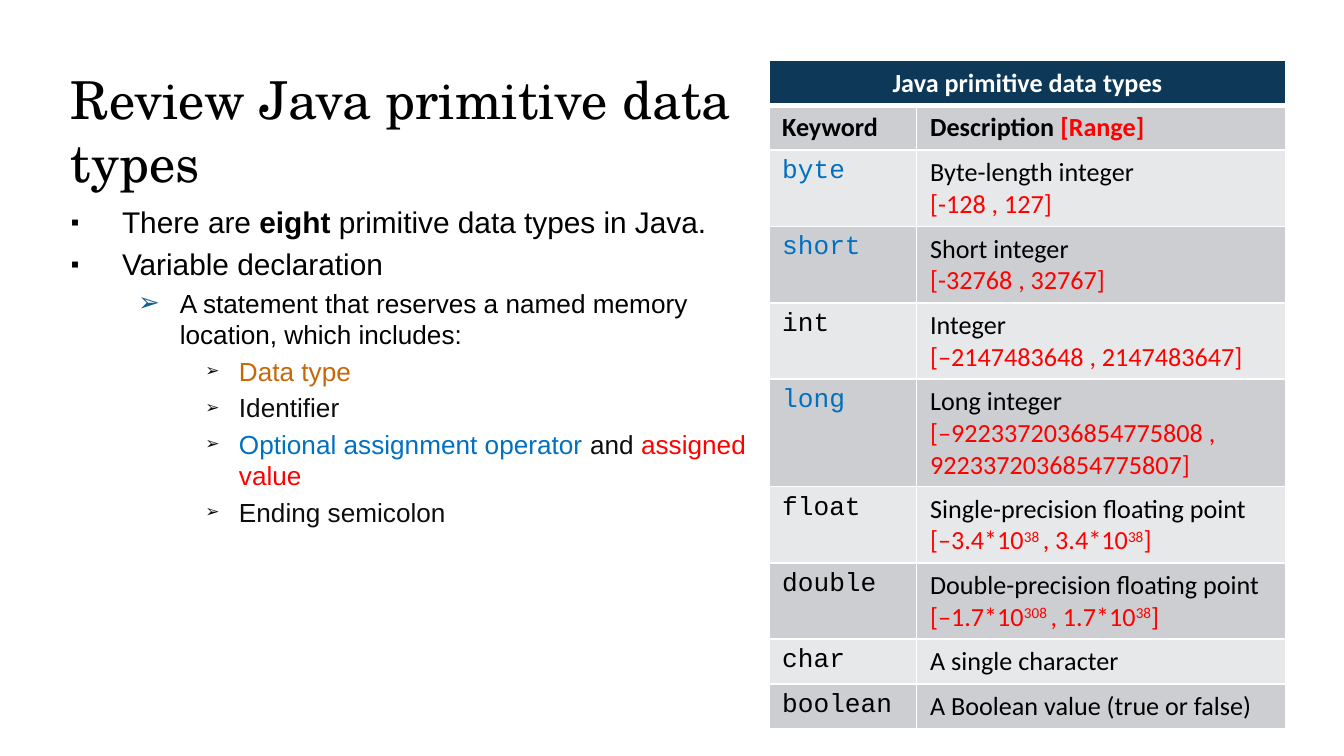
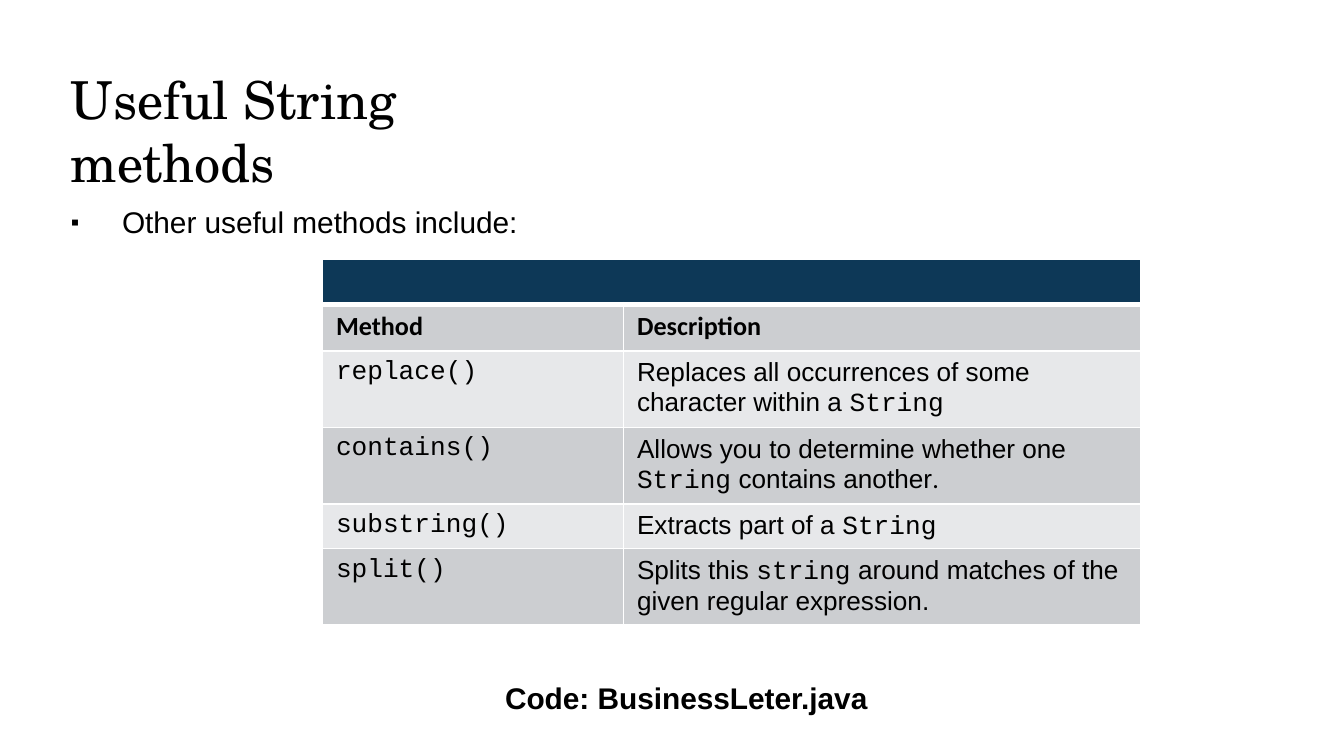
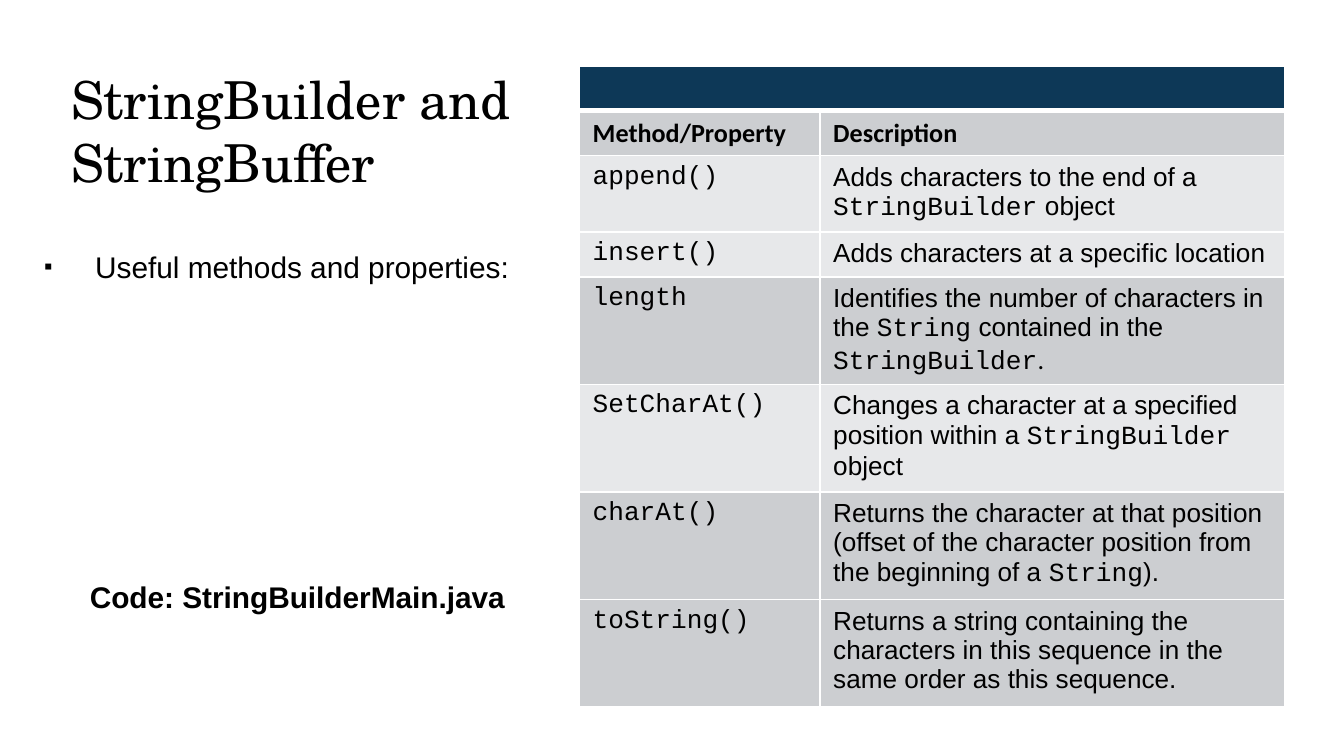
from lxml import etree
from pptx import Presentation
from pptx.dml.color import RGBColor
from pptx.enum import text
from pptx.oxml import ns
from pptx.util import Inches, Pt

BLACK = RGBColor(0x00, 0x00, 0x00)
WHITE = RGBColor(0xFF, 0xFF, 0xFF)
NAVY = RGBColor(0x0D, 0x38, 0x57)
GRAY = RGBColor(0xCC, 0xCE, 0xD1)
PALE = RGBColor(0xE7, 0xE8, 0xEA)
RED = RGBColor(0xFF, 0x00, 0x00)
BLUE = RGBColor(0x00, 0x70, 0xC0)
ORANGE = RGBColor(0xC6, 0x68, 0x0A)
INK = RGBColor(0x0D, 0x0D, 0x0D)
TEAL = RGBColor(0x0F, 0x63, 0x91)

SERIF, SANS, TABLE, CODE = "TeX Gyre Schola", "Arial", "Calibri", "Courier New"
BULLETS = [("▪", 16, 0.38, 0.38, BLACK, 80), ("➢", 14, 0.81, 0.31, TEAL, 100), ("➢", 14, 1.25, 0.25, INK, 65)]


def write(para, size, spans, bold=False):
    if isinstance(spans, str):
        parts = spans.split("`")
        spans = [(part, CODE if index % 2 else SANS, BLACK) for index, part in enumerate(parts) if part]
    for words, face, color, *extra in spans:
        span = para.add_run()
        span.text = words
        span.font.size = Pt(size)
        span.font.name = face
        span.font.color.rgb = color
        span.font.bold = bold or "bold" in extra
        if "raised" in extra:
            span.font._element.set("baseline", "30000")


def add(parent, tag, **attributes):
    return etree.SubElement(parent, ns.qn(tag), attributes)


primitives = [
    ("byte", BLUE, "Byte-length integer", [["[-128 , 127]"]]),
    ("short", BLUE, "Short integer", [["[-32768 , 32767]"]]),
    ("int", BLACK, "Integer", [["[–2147483648 , 2147483647]"]]),
    ("long", BLUE, "Long integer", [["[–9223372036854775808 ,"], ["9223372036854775807]"]]),
    ("float", BLACK, "Single-precision floating point", [["[–3.4*10", "38 ", ", 3.4*10", "38", "]"]]),
    ("double", BLACK, "Double-precision floating point", [["[–1.7*10", "308 ", ", 1.7*10", "38", "]"]]),
    ("char", BLACK, "A single character", []),
    ("boolean", BLACK, "A Boolean value (true or false)", []),
]
primitive_rows = []
for index, (word, color, meaning, limits) in enumerate(primitives):
    lines = [[(meaning, TABLE, BLACK)]]
    for parts in limits:
        lines.append([(part, TABLE, RED, "raised" if place % 2 else "") for place, part in enumerate(parts)])
    primitive_rows.append((word, color, GRAY if index % 2 else PALE, lines))

string_rows = [
    ("replace()", BLACK, PALE, ["Replaces all occurrences of some character within a `String`"]),
    ("contains()", BLACK, GRAY, [[("Allows you to determine whether one ", SANS, BLACK), ("String", CODE, BLACK),
                                  (" contains another", SANS, BLACK), (".", TABLE, BLACK)]]),
    ("substring()", BLACK, PALE, ["Extracts part of a `String`"]),
    ("split()", BLACK, GRAY, ["Splits this `string` around matches of the given regular expression."]),
]
builder_rows = [
    ("append()", BLACK, PALE, ["Adds characters to the end of a `StringBuilder` object"]),
    ("insert()", BLACK, PALE, ["Adds characters at a specific location"]),
    ("length", BLACK, GRAY, [[("Identifies the number of characters in the ", SANS, BLACK), ("String", CODE, BLACK),
                              (" contained in the ", SANS, BLACK), ("StringBuilder", CODE, BLACK),
                              (".", TABLE, BLACK)]]),
    ("SetCharAt()", BLACK, PALE, ["Changes a character at a specified position within a `StringBuilder` object"]),
    ("charAt()", BLACK, GRAY, ["Returns the character at that position (offset of the character position "
                               "from the beginning of a `String`)."]),
    ("toString()", BLACK, GRAY, ["Returns a string containing the characters in this sequence "
                                 "in the same order as this sequence."]),
]

slides = [
    {
        "title": "Review Java primitive data types", "title_width": 5.44,
        "body_at": (0.43, 1.47, 5.24, 3.33),
        "body": [
            (0, [("There are ", SANS, BLACK), ("eight", SANS, BLACK, "bold"),
                 (" primitive data types in Java.", SANS, BLACK)]),
            (0, "Variable declaration"),
            (1, "A statement that reserves a named memory location, which includes:"),
            (2, [("Data type", SANS, ORANGE)]),
            (2, [("Identifier", SANS, INK)]),
            (2, [("Optional assignment operator", SANS, BLUE), (" and ", SANS, INK), ("assigned value", SANS, RED)]),
            (2, [("Ending semicolon", SANS, INK)]),
        ],
        "table_at": (5.72, 0.45, 3.85, 4.97), "columns": [1.1, 2.75], "heights": [0.3] * 10,
        "band": [("Java primitive data types", TABLE, WHITE)],
        "heads": [[("Keyword", TABLE, BLACK)], [("Description ", TABLE, BLACK), ("[Range]", TABLE, RED)]],
        "rows": primitive_rows,
    },
    {
        "title": "Useful String methods", "title_width": 4.07,
        "body_at": (0.43, 1.47, 3.93, 3.23),
        "body": [(0, "Other useful methods include:")],
        "table_at": (2.4, 1.93, 6.09, 2.71), "columns": [2.24, 3.85], "heights": [0.3, 0.35] + [0.3] * 4,
        "band": [],
        "heads": [[("Method", TABLE, BLACK)], [("Description", TABLE, BLACK)]],
        "rows": string_rows,
        "code": "Code: BusinessLeter.java", "code_at": (3.66, 5.01, 2.93, 0.37),
    },
    {
        "title": "StringBuilder and StringBuffer", "title_width": 3.92,
        "body_at": (0.23, 1.8, 3.75, 0.41),
        "body": [(0, "Useful methods and properties:")],
        "table_at": (4.31, 0.49, 5.26, 4.77), "columns": [1.79, 3.46],
        "heights": [0.3, 0.31, 0.51, 0.3] + [0.72] * 4,
        "band": [],
        "heads": [[("Method/Property", TABLE, BLACK)], [("Description", TABLE, BLACK)]],
        "rows": builder_rows,
        "code": "Code: StringBuilderMain.java", "code_at": (0.57, 4.26, 3.33, 0.37),
    },
]

deck = Presentation()
deck.slide_width = Inches(10)
deck.slide_height = deck.slide_width * 9 // 16

for content in slides:
    page = deck.slides.add_slide(deck.slide_layouts[6])

    title = page.shapes.add_textbox(Inches(0.43), Inches(0.45), Inches(content["title_width"]), Inches(0.94))
    title.text_frame.word_wrap = True
    write(title.text_frame.paragraphs[0], 28, [(content["title"], SERIF, BLACK)])

    body = page.shapes.add_textbox(*map(Inches, content["body_at"]))
    body.text_frame.word_wrap = True
    for index, (level, spans) in enumerate(content["body"]):
        para = body.text_frame.add_paragraph() if index else body.text_frame.paragraphs[0]
        symbol, size, margin, hanging, color, scale = BULLETS[level]
        para.level = level
        write(para, size, spans)
        props = para._p.get_or_add_pPr()
        props.set("marL", str(Inches(margin)))
        props.set("indent", str(-Inches(hanging)))
        add(add(props, "a:spcBef"), "a:spcPct", val="20000")
        add(add(props, "a:buClr"), "a:srgbClr", val=str(color))
        add(props, "a:buSzPct", val=str(scale * 1000))
        add(props, "a:buFont", typeface=SANS)
        add(props, "a:buChar", char=symbol)

    heights = content["heights"]
    frame = page.shapes.add_table(len(heights), 2, *map(Inches, content["table_at"]))
    table = frame.table
    for column, width in zip(table.columns, content["columns"]):
        column.width = Inches(width)
    for row, height in zip(table.rows, heights):
        row.height = Inches(height)
    frame.height = Inches(content["table_at"][3])

    grid = [(NAVY, [[content["band"]], [[]]]), (GRAY, [[head] for head in content["heads"]])]
    grid += [(shade, [[[(word, CODE, color)]], lines]) for word, color, shade, lines in content["rows"]]

    for number, (shade, cells) in enumerate(grid):
        for cell, lines in zip(table.rows[number].cells, cells):
            for index, spans in enumerate(lines):
                para = cell.text_frame.add_paragraph() if index else cell.text_frame.paragraphs[0]
                write(para, 14, spans, bold=number < 2)
                if number == 0:
                    para.alignment = text.PP_ALIGN.CENTER
                if not spans:
                    add(para._p, "a:endParaRPr", sz="1400")
            props = cell._tc.get_or_add_tcPr()
            for side in "LRTB":
                thick = (number, side) in [(0, "B"), (1, "T")]
                line = add(props, "a:ln" + side, w=str(Pt(3 if thick else 1)))
                add(add(line, "a:solidFill"), "a:srgbClr", val=str(WHITE))
            cell.fill.solid()
            cell.fill.fore_color.rgb = shade
    table.cell(0, 0).merge(table.cell(0, 1))

    if "code" in content:
        note = page.shapes.add_textbox(*map(Inches, content["code_at"]))
        note.text_frame.word_wrap = False
        note.text_frame.auto_size = text.MSO_AUTO_SIZE.SHAPE_TO_FIT_TEXT
        write(note.text_frame.paragraphs[0], 16, content["code"], bold=True)

deck.save("out.pptx")
